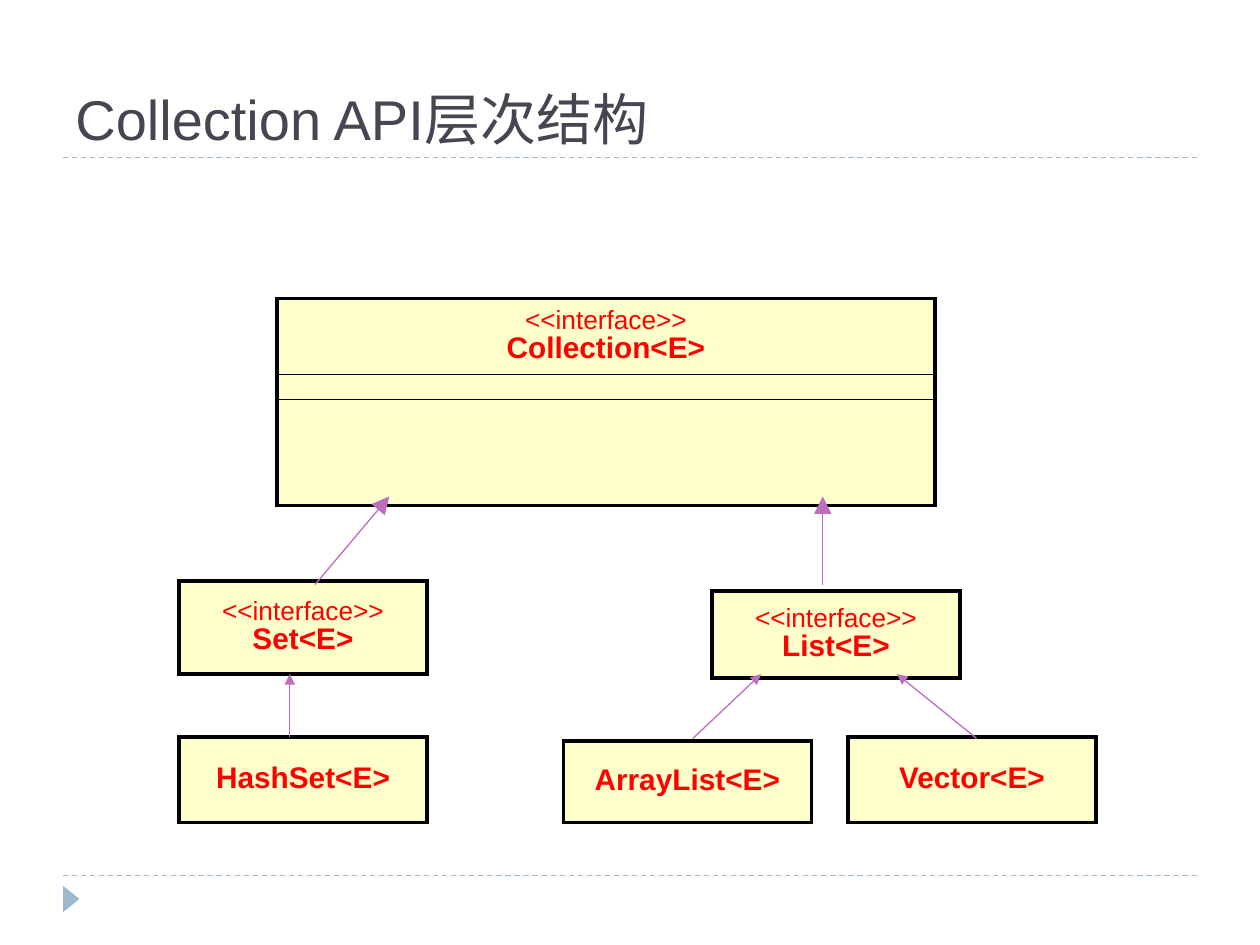
from dataclasses import dataclass

from pptx import Presentation
from pptx.dml.color import RGBColor
from pptx.enum.dml import MSO_LINE
from pptx.enum.shapes import MSO_CONNECTOR, MSO_SHAPE
from pptx.enum.text import MSO_ANCHOR, PP_ALIGN
from pptx.oxml.xmlchemy import OxmlElement
from pptx.util import Inches, Pt

STRAIGHT = MSO_CONNECTOR.STRAIGHT
TRIANGLE = MSO_SHAPE.ISOSCELES_TRIANGLE
DASH = MSO_LINE.DASH
MIDDLE, BOTTOM = MSO_ANCHOR.MIDDLE, MSO_ANCHOR.BOTTOM
CENTER = PP_ALIGN.CENTER


@dataclass(frozen=True)
class Theme:
    font: str = "Arial"
    title: str = "464653"
    accent: str = "9FB8CD"
    arrow: str = "BD6FBF"
    box_fill: str = "FFFFCC"
    box_text: str = "FF0000"
    border: str = "000000"
    title_size: int = 32
    stereotype_size: int = 15
    name_size: int = 17
    empty_size: int = 8
    outer_border: float = 2.25
    inner_border: float = 1
    thin_line: float = 0.75


THEME = Theme()
STEREOTYPE = "<<interface>>"
BOX_WIDTH = 1.97

# Class boxes: left, top, width, row heights, text lines
CLASS_BOXES = [
    (2.2, 2.37, 5.22, [0.57, 0.2, 0.84], [STEREOTYPE, "Collection<E>"]),
    (1.42, 4.61, BOX_WIDTH, [0.74], [STEREOTYPE, "Set<E>"]),
    (1.42, 5.85, BOX_WIDTH, [0.68], ["HashSet<E>"]),
    (5.65, 4.69, BOX_WIDTH, [0.69], [STEREOTYPE, "List<E>"]),
    (4.47, 5.88, BOX_WIDTH, [0.65], ["ArrayList<E>"]),
    (6.73, 5.85, BOX_WIDTH, [0.68], ["Vector<E>"]),
]

# Inheritance arrows: child end, parent end, arrowhead size
INHERITANCE = [
    ((2.5, 4.64), (3.09, 3.94), "lg"),
    ((2.3, 5.85), (2.3, 5.35), "med"),
    ((6.53, 4.64), (6.53, 3.94), "lg"),
    ((5.5, 5.86), (6.04, 5.35), "med"),
    ((7.75, 5.86), (7.12, 5.35), "med"),
]


def rgb(value):
    return RGBColor.from_string(value)


def add_element(parent, tag, **attributes):
    element = OxmlElement(tag)
    for key, value in attributes.items():
        element.set(key, str(value))
    parent.append(element)
    return element


def style_run(run, size, color, bold=False):
    run.font.name = THEME.font
    run.font.size = Pt(size)
    run.font.bold = bold
    run.font.color.rgb = rgb(color)


def add_line(slide, start, end, color):
    line = slide.shapes.add_connector(STRAIGHT, *map(Inches, start + end))
    line.line.color.rgb = rgb(color)
    line.line.width = Pt(THEME.thin_line)
    return line


def add_rule(slide, y):
    rule = add_line(slide, (0.5, y), (9.5, y), THEME.accent)
    rule.line.dash_style = DASH
    add_element(rule._element.spPr, "a:effectLst")


def add_arrow(slide, child, parent, head):
    arrow = add_line(slide, child, parent, THEME.arrow)
    add_element(arrow.line._get_or_add_ln(), "a:tailEnd",
                type="triangle", w=head, len=head)
    add_element(arrow._element.spPr, "a:effectLst")


def add_title(slide, text):
    title = slide.shapes.add_textbox(*map(Inches, (0.5, 0.17, 9, 1.08)))
    frame = title.text_frame
    frame.word_wrap = True
    frame.vertical_anchor = BOTTOM
    frame.text = text
    style_run(frame.paragraphs[0].runs[0], THEME.title_size, THEME.title)


def add_page_marker(slide):
    marker = slide.shapes.add_shape(TRIANGLE, *map(Inches, (0.46, 7.07, 0.21, 0.13)))
    marker.rotation = 90
    marker.shadow.inherit = False
    marker.fill.solid()
    marker.fill.fore_color.rgb = rgb(THEME.accent)
    marker.line.fill.background()


def set_borders(cell, top, bottom):
    widths = {"L": THEME.outer_border, "R": THEME.outer_border, "T": top, "B": bottom}
    for side, width in widths.items():
        border = add_element(cell._tc.get_or_add_tcPr(), f"a:ln{side}", w=Pt(width))
        add_element(add_element(border, "a:solidFill"), "a:srgbClr", val=THEME.border)


def write_lines(cell, lines):
    cell.text_frame.text = "\n".join(lines)
    for paragraph in cell.text_frame.paragraphs:
        paragraph.alignment = CENTER
        paragraph.line_spacing = 0.9
        is_name = paragraph.text != STEREOTYPE
        size = THEME.name_size if is_name else THEME.stereotype_size
        style_run(paragraph.runs[0], size, THEME.box_text, is_name)


def add_class_box(slide, left, top, width, heights, lines):
    position = map(Inches, (left, top, width, sum(heights)))
    table = slide.shapes.add_table(len(heights), 1, *position).table
    table.first_row = table.horz_banding = False
    last = len(heights) - 1
    for index, height in enumerate(heights):
        table.rows[index].height = Inches(height)
        cell = table.cell(index, 0)
        set_borders(cell,
                    THEME.outer_border if index == 0 else THEME.inner_border,
                    THEME.outer_border if index == last else THEME.inner_border)
        cell.fill.solid()
        cell.fill.fore_color.rgb = rgb(THEME.box_fill)
        cell.vertical_anchor = MIDDLE
        cell.margin_left = cell.margin_right = Inches(0.12)
        cell.margin_top = cell.margin_bottom = Inches(0 if index else 0.06)
        if index == 0:
            write_lines(cell, lines)
        else:
            # Small type keeps an empty compartment at its set height
            add_element(cell.text_frame.paragraphs[0]._p, "a:endParaRPr",
                        sz=THEME.empty_size * 100)


def main():
    prs = Presentation()
    prs.slide_width, prs.slide_height = Inches(10), Inches(7.5)
    slide = prs.slides.add_slide(prs.slide_layouts[6])

    # Page frame and title
    for y in (6.95, 1.25):
        add_rule(slide, y)
    add_page_marker(slide)
    add_title(slide, "Collection API层次结构")

    # Class hierarchy
    for box in CLASS_BOXES:
        add_class_box(slide, *box)
    for arrow in INHERITANCE:
        add_arrow(slide, *arrow)

    prs.save("out.pptx")


if __name__ == "__main__":
    main()
